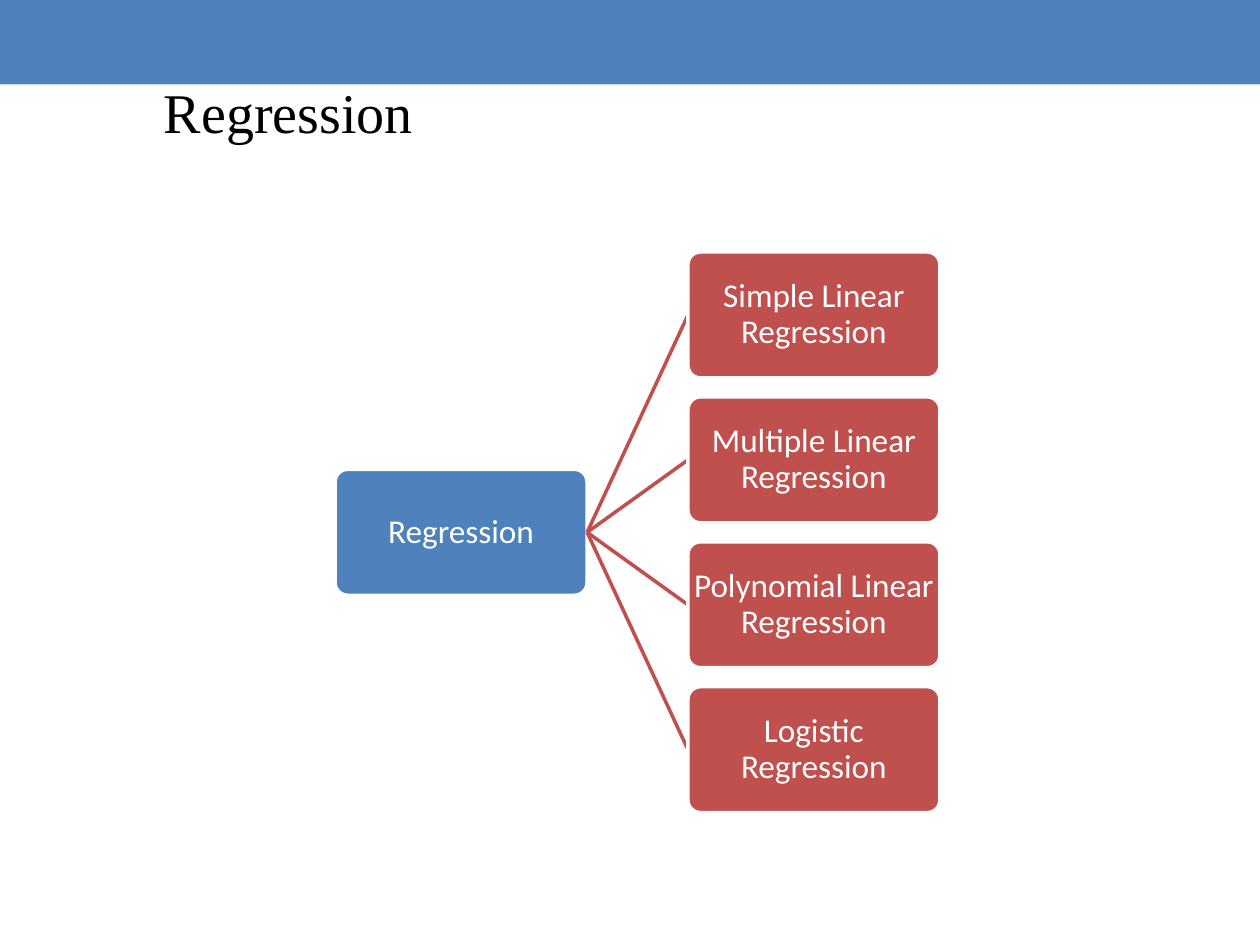
import pptx
import pptx.dml.color
import pptx.enum.shapes
import pptx.enum.text
import pptx.oxml
import pptx.util

Inches = pptx.util.Inches
Pt = pptx.util.Pt
RGBColor = pptx.dml.color.RGBColor
MSO_SHAPE = pptx.enum.shapes.MSO_SHAPE

BLUE = RGBColor(0x4F, 0x81, 0xBD)
RED = RGBColor(0xC0, 0x50, 0x4D)
WHITE = RGBColor(0xFF, 0xFF, 0xFF)
BLACK = RGBColor(0, 0, 0)

BOX_WIDTH, BOX_HEIGHT = 2, 1
BRANCH_LEFT, BRANCH_TOP, BRANCH_PITCH = 5.46, 2, 1.15
BRANCHES = [
    "Simple Linear Regression",
    "Multiple Linear Regression",
    "Polynomial Linear Regression",
    "Logistic Regression",
]
RIGHT_SIDE, LEFT_SIDE = 3, 1


def write_text(text_frame, text, size, font_name, color):
    text_frame.word_wrap = True
    text_frame.vertical_anchor = pptx.enum.text.MSO_ANCHOR.MIDDLE
    paragraph = text_frame.paragraphs[0]
    paragraph.alignment = pptx.enum.text.PP_ALIGN.CENTER
    run = paragraph.add_run()
    run.text = text
    run.font.size = Pt(size)
    run.font.name = font_name
    run.font.color.rgb = color
    return paragraph


def add_filled_shape(slide, kind, left, top, width, height, color):
    shape = slide.shapes.add_shape(
        kind, Inches(left), Inches(top), Inches(width), Inches(height)
    )
    shape.shadow.inherit = False
    shape.fill.solid()
    shape.fill.fore_color.rgb = color
    shape.line.fill.background()
    return shape


def add_title(slide, text):
    title = slide.shapes.title
    title.left, title.top = Inches(0.58), Inches(0.5)
    title.width, title.height = Inches(3.42), Inches(0.77)
    write_text(title.text_frame, text, 32, "Times New Roman", BLACK)


def add_box(slide, text, left, top, color):
    box = add_filled_shape(
        slide, MSO_SHAPE.ROUNDED_RECTANGLE, left, top, BOX_WIDTH, BOX_HEIGHT, color
    )
    box.adjustments[0] = 0.1
    box.line.color.rgb = WHITE
    box.line.width = Pt(2)
    text_frame = box.text_frame
    text_frame.margin_left = text_frame.margin_right = Inches(0.01)
    text_frame.margin_top = text_frame.margin_bottom = Inches(0.01)
    paragraph = write_text(text_frame, text, 19, "Calibri", WHITE)
    paragraph.line_spacing = 0.9
    return box


def add_link(slide, root):
    link = slide.shapes.add_connector(
        pptx.enum.shapes.MSO_CONNECTOR.STRAIGHT, 0, 0, 0, 0
    )
    link.line.color.rgb = RED
    link.line.width = Pt(2)
    properties = link._element.spPr
    properties.append(pptx.oxml.parse_xml(
        '<a:effectLst xmlns:a="http://schemas.openxmlformats.org/drawingml/2006/main"/>'
    ))
    link.begin_connect(root, RIGHT_SIDE)
    return link


def add_tree(slide):
    middle_top = BRANCH_TOP + BRANCH_PITCH * (len(BRANCHES) - 1) / 2
    root = add_box(slide, "Regression", 2.66, middle_top, BLUE)
    for index, name in enumerate(BRANCHES):
        link = add_link(slide, root)
        branch = add_box(
            slide, name, BRANCH_LEFT, BRANCH_TOP + index * BRANCH_PITCH, RED
        )
        link.end_connect(branch, LEFT_SIDE)


def main():
    presentation = pptx.Presentation()
    presentation.slide_width = Inches(10)
    presentation.slide_height = Inches(7.5)
    slide = presentation.slides.add_slide(presentation.slide_layouts[0])
    subtitle = slide.placeholders[1]._element
    subtitle.getparent().remove(subtitle)
    add_filled_shape(slide, MSO_SHAPE.RECTANGLE, 0, 0, 10, 0.67, BLUE)
    add_title(slide, "Regression")
    add_tree(slide)
    presentation.save("out.pptx")


if __name__ == "__main__":
    main()
